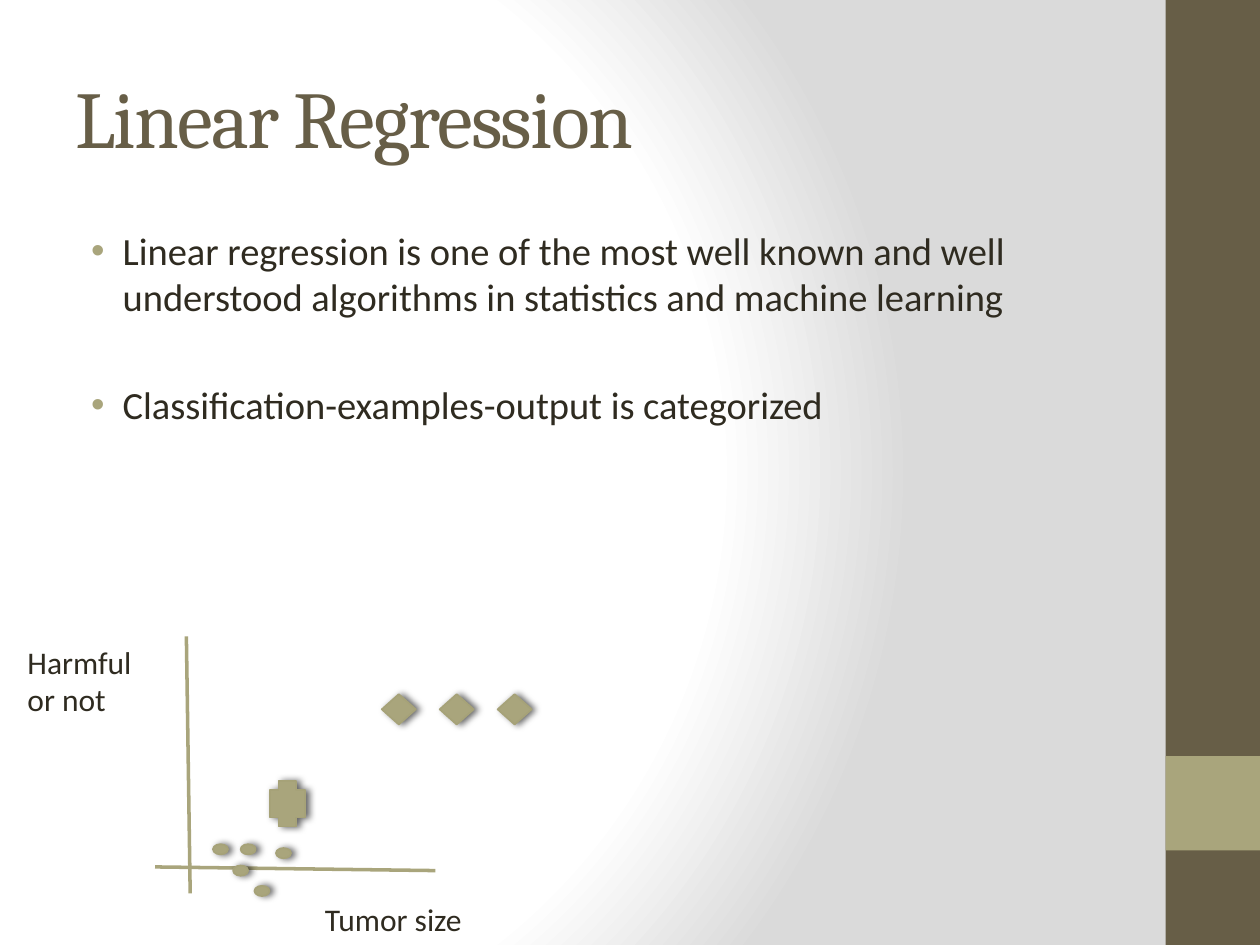
from lxml import etree
from pptx import Presentation
from pptx import util as u
from pptx.dml.color import RGBColor
from pptx.enum import shapes, text
from pptx.oxml import parse_xml
from pptx.oxml.ns import nsdecls, qn

Pt = u.Pt
SHAPE = shapes.MSO_SHAPE
BROWN, OLIVE, OLIVE_EDGE, INK = "675E47", "A9A57C", "A6A278", "2F2B20"


def color(value):
    return RGBColor.from_string(value)


def add_text(page, frame, paragraphs, font, size, fill):
    box = page.shapes.add_textbox(*map(Pt, frame))
    box.text_frame.word_wrap = True
    box.text_frame.text = "\n".join(paragraphs)
    for para in box.text_frame.paragraphs:
        para.font.name, para.font.size = font, Pt(size)
        para.font.color.rgb = color(fill)
    return box


deck = Presentation()
deck.slide_width, deck.slide_height = Pt(720), Pt(540)
page = deck.slides.add_slide(deck.slide_layouts[6])

# Radial background
page.background.fill.solid()
background = page.element.find(".//" + qn("p:bgPr"))
background.replace(background[0], parse_xml(f"""
<a:gradFill rotWithShape="1" {nsdecls("a")}>
  <a:gsLst>
    <a:gs pos="0"><a:srgbClr val="FFFFFF"/></a:gs>
    <a:gs pos="75000"><a:srgbClr val="FFFFFF"/></a:gs>
    <a:gs pos="100000"><a:srgbClr val="DADADA"/></a:gs>
  </a:gsLst>
  <a:path path="circle">
    <a:fillToRect l="20000" t="50000" r="100000" b="50000"/>
  </a:path>
</a:gradFill>"""))

# Side band with its accent square
for top, height, fill in [(0, 540, BROWN), (432, 54, OLIVE)]:
    band = page.shapes.add_shape(SHAPE.RECTANGLE, Pt(666), Pt(top), Pt(54), Pt(height))
    band.shadow.inherit = False
    band.fill.solid()
    band.fill.fore_color.rgb = color(fill)
    band.line.fill.background()

# Title, slightly tightened
title = add_text(page, (36, 21.6, 600, 90), ["Linear Regression"], "Cambria", 46, BROWN)
title.text_frame.vertical_anchor = text.MSO_ANCHOR.MIDDLE
for span in title.text_frame.paragraphs[0].runs:
    span.font._element.set("spc", "-100")

# Bulleted body
body = add_text(page, (36, 126, 600, 378), [
    "Linear regression is one of the most well known and well understood "
    "algorithms in statistics and machine learning",
    "Classification-examples-output is categorized",
], "Calibri", 22, INK)
for para, gap in zip(body.text_frame.paragraphs, (4.4, 35.5)):
    para.space_before = Pt(gap)
    properties = para._p.get_or_add_pPr()
    properties.set("marL", str(Pt(27)))
    properties.set("indent", str(Pt(-18)))
    bullet = [
        f'<a:buClr {nsdecls("a")}><a:srgbClr val="{OLIVE}"/></a:buClr>',
        f'<a:buFont {nsdecls("a")} typeface="Arial"/>',
        f'<a:buChar {nsdecls("a")} char="•"/>',
    ]
    position = properties.index(properties.find(qn("a:spcBef"))) + 1
    for offset, part in enumerate(bullet):
        properties.insert(position + offset, parse_xml(part))

# Sketch axes
for ends in [(106.5, 363.6, 108.7, 510.5), (88.6, 495.4, 248.8, 497.5)]:
    axis = page.shapes.add_connector(shapes.MSO_CONNECTOR.STRAIGHT, *map(Pt, ends))
    axis.line.color.rgb = color(OLIVE)
    axis.line.width = Pt(2)
    etree.SubElement(axis._element.spPr, qn("a:effectLst"))

# Axis labels
add_text(page, (178.6, 510.5, 144.7, 28.8), ["Tumor size"], "Calibri", 18, INK)
add_text(page, (8.6, 363.6, 79.9, 51.1), ["Harmful or not"], "Calibri", 18, INK)

# Data marks: kind, size, top-left corners
marks = [
    (SHAPE.OVAL, (8.6, 5.8), [(121.7, 482.4), (137.5, 482.4), (157.7, 484.6),
                              (133.2, 494.6), (145.4, 506.2)]),
    (SHAPE.DIAMOND, (19.4, 17.3), [(218.2 + 33.1 * i, 396.7) for i in range(3)]),
    (SHAPE.CROSS, (20.2, 25.9), [(154.1, 446.4)]),
]
for kind, size, corners in marks:
    for corner in corners:
        mark = page.shapes.add_shape(kind, *map(Pt, corner + size))
        mark.fill.solid()
        mark.fill.fore_color.rgb = color(OLIVE)
        mark.line.color.rgb = color(OLIVE_EDGE)
        mark.line.width = Pt(1)
        mark.shadow.inherit = False
        effects = mark._element.spPr.find(qn("a:effectLst"))
        effects.append(parse_xml(
            f'<a:outerShdw {nsdecls("a")} blurRad="{Pt(4)}" dist="{Pt(2)}" dir="0" '
            'rotWithShape="0"><a:srgbClr val="000000"><a:alpha val="60000"/>'
            '</a:srgbClr></a:outerShdw>'))

deck.save("out.pptx")
